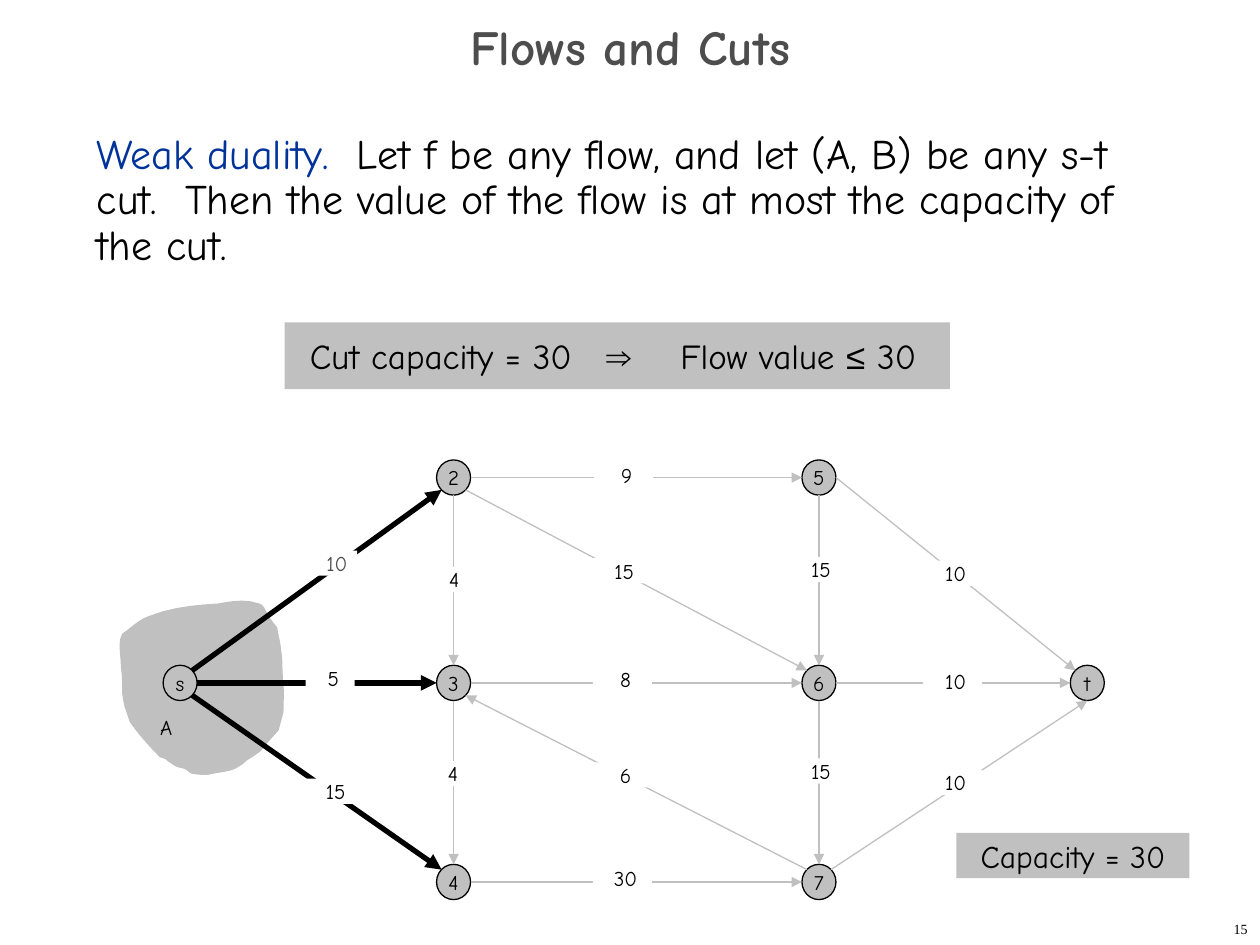
from collections import namedtuple

from lxml.etree import SubElement
from pptx import Presentation
from pptx.dml.color import RGBColor
from pptx.enum.shapes import MSO_CONNECTOR as Connector, MSO_SHAPE as Preset
from pptx.enum.text import MSO_ANCHOR as Anchor, PP_ALIGN as Align
from pptx.oxml.ns import qn
from pptx.util import Inches, Pt

Box = namedtuple("Box", "left top width height")
Edge = namedtuple("Edge", "start leave end enter label x y")

FONT, SYMBOL_FONT = "Comic Neue", "Arial"
BLACK, GRAY, DARK, BLUE, WHITE = "000000", "C0C0C0", "4D4D4D", "003399", "FFFFFF"
NODE_WIDTH, NODE_HEIGHT = 0.27, 0.28
COLUMNS, ROWS = (0.5, 2.67, 5.57, 7.7), (0.14, 1.77, 3.35)
NODES = {"s": (0, 1), "2": (1, 0), "3": (1, 1), "4": (1, 2),
         "5": (2, 0), "6": (2, 1), "7": (2, 2), "t": (3, 1)}
SITES = {"n": (0, -1), "s": (0, 1), "w": (-1, 0), "e": (1, 0),
         "nw": (-0.7, -0.7), "ne": (0.7, -0.7), "sw": (-0.7, 0.7), "se": (0.7, 0.7)}
EDGES = [Edge(*row) for row in (
    ("s", "ne", "2", "sw", "10", 1.67, 0.82),
    ("s", "e", "3", "w", "5", 1.69, 1.73),
    ("s", "se", "4", "nw", "15", 1.71, 2.63),
    ("2", "e", "5", "w", "9", 4.02, 0.12),
    ("2", "se", "6", "nw", "15", 4, 0.88),
    ("2", "s", "3", "n", "4", 2.65, 0.95),
    ("3", "e", "6", "w", "8", 4.01, 1.74),
    ("3", "s", "4", "n", "4", 2.64, 2.49),
    ("7", "nw", "3", "se", "6", 4.01, 2.5),
    ("4", "e", "7", "w", "30", 4.01, 3.32),
    ("5", "s", "6", "n", "15", 5.56, 0.87),
    ("6", "s", "7", "n", "15", 5.56, 2.47),
    ("5", "e", "t", "nw", "10", 6.58, 0.9),
    ("6", "e", "t", "w", "10", 6.63, 1.76),
    ("7", "ne", "t", "s", "10", 6.63, 2.56),
)]
CUT_START = (4, 28)
CUT_CURVES = [
    (10, 24, 18, 16, 25, 14), (42, 7, 62, 5, 80, 4), (91, 2, 101, 0, 113, 4),
    (117, 5, 118, 11, 121, 15), (123, 18, 127, 23, 127, 23),
    (130, 39, 129, 31, 131, 47), (130, 64, 140, 102, 119, 115),
    (115, 121, 113, 122, 107, 126), (97, 132, 106, 128, 94, 135),
    (88, 138, 79, 138, 72, 140), (68, 140, 63, 140, 59, 139),
    (57, 138, 56, 137, 55, 136), (51, 134, 50, 135, 46, 133),
    (33, 125, 43, 129, 34, 126), (25, 117, 17, 108, 10, 98),
    (9, 95, 8, 92, 7, 89), (5, 85, 4, 75, 4, 75),
    (4, 68, 4, 61, 3, 54), (3, 46, 0, 34, 4, 28),
]


def color(value):
    """Turn a hex string into a colour."""
    return RGBColor.from_string(value)


def set_all(target, values):
    """Set attributes from a dict of format values."""
    for name, value in values.items():
        setattr(target, name, value)


def paint(shape, fill, line=None):
    """Give a shape a plain fill and an optional thin outline."""
    shape.shadow.inherit = False
    shape.fill.solid()
    shape.fill.fore_color.rgb = color(fill)
    if line:
        shape.line.color.rgb = color(line)
        shape.line.width = Pt(0.75)
    else:
        shape.line.fill.background()


def write(shape, spans, size, align=Align.CENTER, spacing=None, **frame_format):
    """Write one paragraph of (text, colour, font) spans."""
    frame = shape.text_frame
    set_all(frame, {"word_wrap": True, "vertical_anchor": Anchor.MIDDLE, **frame_format})
    para = frame.paragraphs[0]
    set_all(para, {"alignment": align, "line_spacing": spacing})
    for text, ink, font in spans:
        span = para.add_run()
        span.text = text
        set_all(span.font, {"size": Pt(size), "name": font})
        span.font.color.rgb = color(ink)
    return para


def add_box(page, box, fill=None, line=None, preset=Preset.RECTANGLE):
    """Add a filled preset shape, or a text box when there is no fill."""
    place = [Inches(length) for length in box]
    if fill is None:
        return page.shapes.add_textbox(*place)
    shape = page.shapes.add_shape(preset, *place)
    paint(shape, fill, line)
    return shape


def margins(left=0, top=0):
    """Return equal side insets and equal top and bottom insets."""
    return {"margin_left": Inches(left), "margin_right": Inches(left),
            "margin_top": Inches(top), "margin_bottom": Inches(top)}


def add_title(page, box):
    """Write the slide title."""
    para = write(add_box(page, box), [("Flows and Cuts", DARK, FONT)], 28, spacing=0.7)
    para.runs[0].font.bold = True


def add_statement(page, box):
    """Write the weak duality statement."""
    statement = ("  Let f be any flow, and let (A, B) be any s-t cut.  "
                 "Then the value of the flow is at most the capacity of the cut.")
    write(add_box(page, box), [("Weak duality.", BLUE, FONT), (statement, BLACK, FONT)],
          24, Align.LEFT, Pt(26), vertical_anchor=Anchor.TOP)


def add_implication(page, box):
    """Write the bound that follows from the cut, aligned on tab stops."""
    spans = [("Cut capacity = 30\t", BLACK, FONT), ("⇒", BLACK, SYMBOL_FONT),
             ("\tFlow value ", BLACK, FONT), ("≤", BLACK, SYMBOL_FONT), (" 30", BLACK, FONT)]
    para = write(add_box(page, box, GRAY), spans, 20, Align.LEFT, **margins(0.2, 0.1))
    stops = SubElement(para._p.get_or_add_pPr(), qn("a:tabLst"))
    for position in (2.35, 2.94):
        SubElement(stops, qn("a:tab"), pos=str(Inches(position)), algn="l")


def add_cut(page, box):
    """Draw the outline of cut side A and its name."""
    points, steps = [CUT_START], 5
    for curve in CUT_CURVES:
        corners = [points[-1], *zip(curve[::2], curve[1::2])]
        for step in range(1, steps + 1):
            t = step / steps
            weights = ((1 - t) ** 3, 3 * t * (1 - t) ** 2, 3 * t * t * (1 - t), t ** 3)
            points.append(tuple(sum(w * corner[axis] for w, corner in zip(weights, corners))
                                for axis in (0, 1)))
    outline = [(Inches(box.left + x / 100), Inches(box.top + y / 100)) for x, y in points]
    builder = page.shapes.build_freeform(*outline[0])
    builder.add_line_segments(outline[1:], close=True)
    paint(builder.convert_to_shape(), GRAY)
    name = add_box(page, Box(box.left + 0.34, box.top + 0.92, 0.1, 0.2))
    write(name, [("A", BLACK, FONT)], 12, **{**margins(), "word_wrap": False})


def add_edge(page, start, end, ink, width):
    """Draw an arrow between two points."""
    arrow = page.shapes.add_connector(Connector.STRAIGHT, *map(Inches, (*start, *end)))
    arrow.line.color.rgb = color(ink)
    arrow.line.width = Pt(width)
    SubElement(arrow.line._get_or_add_ln(), qn("a:tailEnd"), type="triangle")
    SubElement(arrow._element.spPr, qn("a:effectLst"))


def add_network(page, box):
    """Draw the cut, the nodes, the arrows and the capacities."""
    add_cut(page, Box(box.left, box.top + 1.1, 1.4, 1.4))
    centers = {name: (box.left + COLUMNS[column], box.top + ROWS[row])
               for name, (column, row) in NODES.items()}
    for name, (x, y) in centers.items():
        node = add_box(page, Box(x - NODE_WIDTH / 2, y - NODE_HEIGHT / 2, NODE_WIDTH, NODE_HEIGHT),
                       GRAY, BLACK, Preset.OVAL)
        write(node, [(name, BLACK, FONT)], 12, word_wrap=False)

    def site(name, side):
        """Return the point on the rim of a node."""
        (x, y), (across, down) = centers[name], SITES[side]
        return x + across * NODE_WIDTH / 2, y + down * NODE_HEIGHT / 2

    for edge in EDGES:
        ink, width = (BLACK, 3) if edge.start == "s" else (GRAY, 0.75)
        add_edge(page, site(edge.start, edge.leave), site(edge.end, edge.enter), ink, width)
    for edge in EDGES:
        width = 0.39 if edge.label == "5" else 0.47
        label = add_box(page, Box(box.left + edge.x - width / 2, box.top + edge.y - 0.1, width, 0.2), WHITE)
        ink = DARK if edge.end == "2" else BLACK
        indent = 0.15 if edge.leave == "ne" and edge.start == "s" or edge.start == "5" and edge.end == "t" else 0.05
        write(label, [(edge.label, ink, FONT)], 12, **{**margins(), "margin_left": Inches(indent)})


def add_capacity(page, box):
    """Write the capacity of the cut."""
    write(add_box(page, box, GRAY), [("Capacity = 30", BLACK, FONT)], 18, **margins(0.1, 0.1))


def add_page_number(page, box):
    """Write the slide number."""
    write(add_box(page, box), [("15", BLACK, "Times New Roman")], 8, Align.RIGHT)


def main():
    """Build the slide and save it."""
    deck = Presentation()
    set_all(deck, {"slide_width": Inches(10), "slide_height": Inches(7.5)})
    page = deck.slides.add_slide(deck.slide_layouts[6])
    add_title(page, Box(0, 0.17, 10, 0.5))
    add_statement(page, Box(0.67, 1, 8.58, 5.92))
    add_implication(page, Box(2.26, 2.56, 5.28, 0.53))
    add_network(page, Box(0.93, 3.65, 7.83, 3.49))
    add_capacity(page, Box(7.59, 6.61, 1.85, 0.36))
    add_page_number(page, Box(7.92, 7.25, 2.08, 0.25))
    deck.save("out.pptx")


if __name__ == "__main__":
    main()
